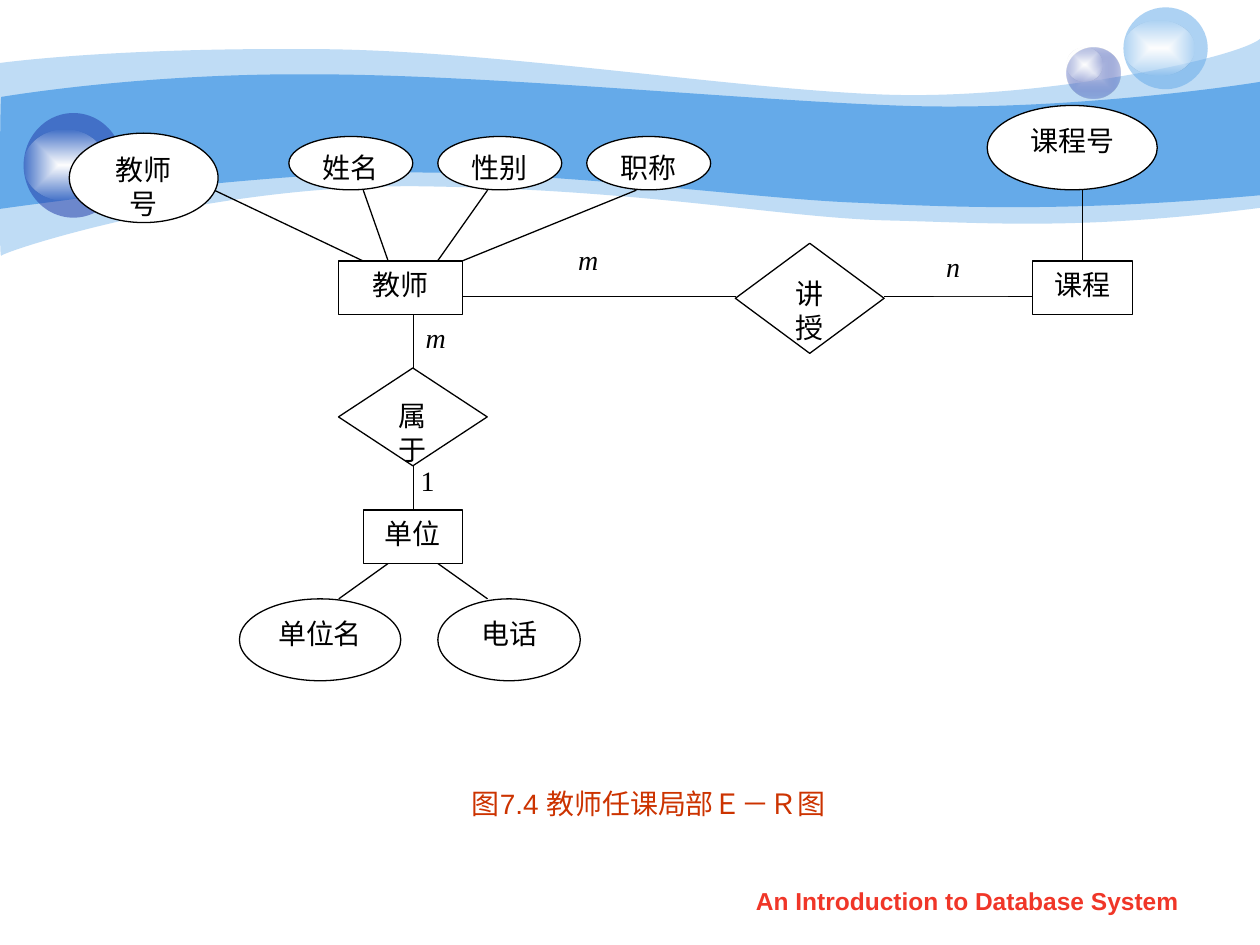
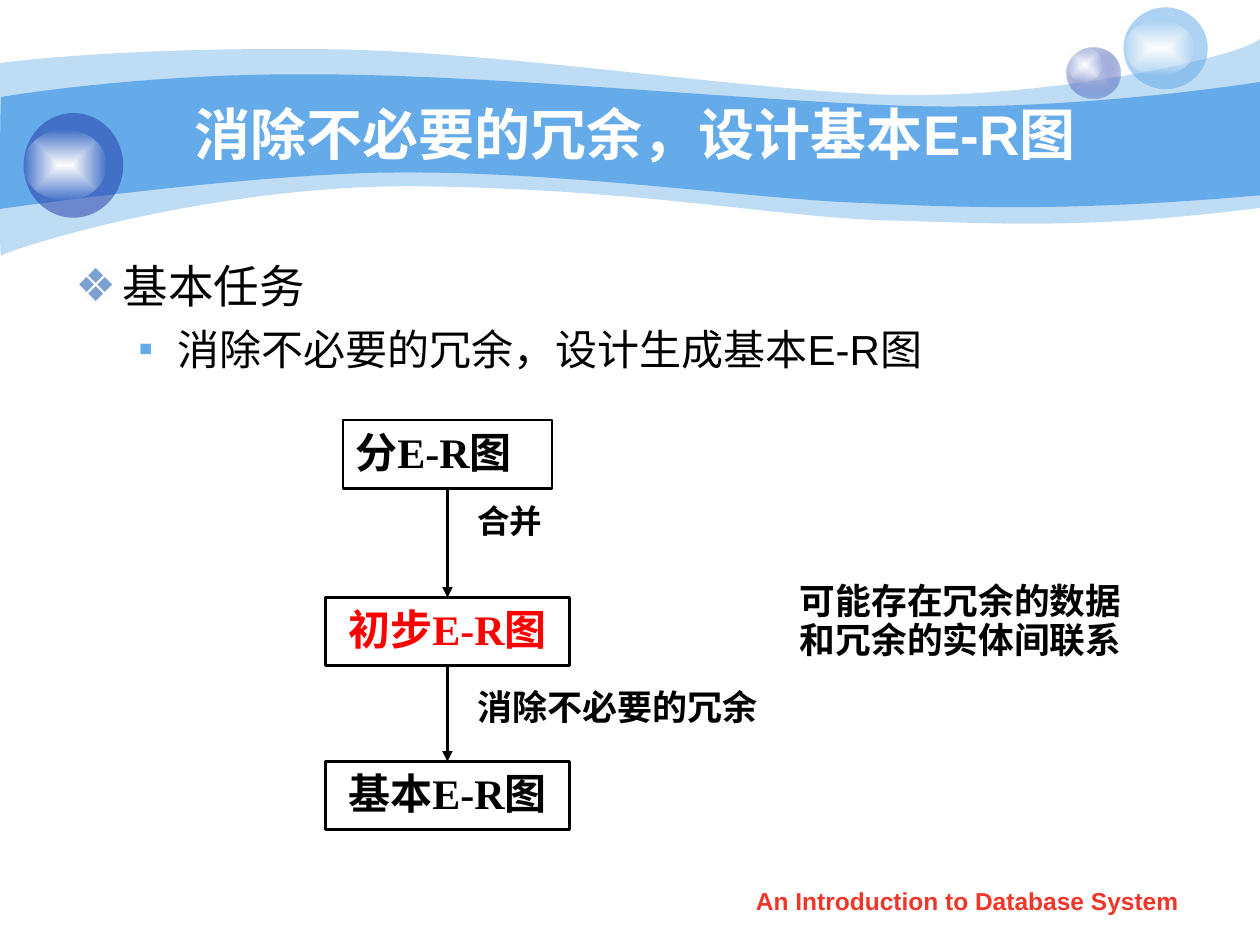
import pptx
import pptx.dml.color
import pptx.enum.lang
import pptx.enum.shapes
import pptx.enum.text
import pptx.oxml
import pptx.oxml.ns
import pptx.util
from lxml import etree

Pt = pptx.util.Pt
SHAPE = pptx.enum.shapes.MSO_SHAPE
ALIGN = pptx.enum.text.PP_ALIGN
ANCHOR = pptx.enum.text.MSO_ANCHOR
qn = pptx.oxml.ns.qn

BLACK, WHITE, RED = "000000", "FFFFFF", "FF0000"
SKY, NAVY, LAVENDER = "65AAE9", "233DA9", "C7CEE9"
FOOTER_RED, CAPTION_RED, BULLET_BLUE = "F03628", "CC3300", "7DA0D3"
SANS, SERIF = "Arial", "Times New Roman"

# Each wave: start point, then line ends (2 numbers) or cubic curves (6 numbers).
LIGHT_WAVE = [
    (0, 36), (17.3, 33.8, 77, 27.4, 177.8, 28.1),
    (277.9, 28.1, 414, 50.4, 503.3, 54), (591.8, 57.6, 705.6, 33.8, 720, 22.3),
    (720, 118.8), (617.8, 131.8, 566.6, 127.4, 507.6, 126),
    (447.8, 124.6, 370.8, 108.7, 247, 106.6), (123.8, 103.7, 2.9, 143.3, 0.7, 146.2),
    (-0.7, 149.8, 0, 54, 0, 36)]
DARK_WAVE = [
    (0.7, 55.4), (1.4, 55.4, 79.2, 41.8, 178.6, 42.5),
    (277.9, 42.5, 428.4, 57.6, 517, 60.5), (605.5, 63.4, 702.7, 49.7, 720, 46.8),
    (720, 111.6), (614.2, 121, 550.8, 118.8, 491, 115.9),
    (431.3, 113.8, 321.8, 97.9, 228.2, 98.6), (146.2, 98.6, -1.4, 119.5, -0.7, 119.5),
    (0, 119.5, 0, 55.4, 0.7, 55.4)]


def rgb(color):
    return pptx.dml.color.RGBColor.from_string(color)


def fill_solid(shape, color, opacity=100):
    shape.fill.solid()
    shape.fill.fore_color.rgb = rgb(color)
    if opacity < 100:
        color_element = shape.element.spPr.find(".//" + qn("a:srgbClr"))
        etree.SubElement(color_element, qn("a:alpha"), val=str(opacity * 1000))


def fill_glow(shape, inner, outer, outer_opacity):
    """Gradient from the centre of the shape to its edges."""
    shape.fill.gradient()
    gradient = shape.element.spPr.find(qn("a:gradFill"))
    for child in list(gradient):
        gradient.remove(child)
    stops = etree.SubElement(gradient, qn("a:gsLst"))
    for position, color, opacity in ((0, inner, 100), (100, outer, outer_opacity)):
        stop = etree.SubElement(stops, qn("a:gs"), pos=str(position * 1000))
        color_element = etree.SubElement(stop, qn("a:srgbClr"), val=color)
        etree.SubElement(color_element, qn("a:alpha"), val=str(opacity * 1000))
    shade = etree.SubElement(gradient, qn("a:path"), path="rect")
    etree.SubElement(shade, qn("a:fillToRect"), l="50000", t="50000", r="50000", b="50000")


def format_paragraph(paragraph, size, color=BLACK, font=SERIF, bold=False,
                     italic=False, align=ALIGN.LEFT, spacing=None):
    paragraph.alignment = align
    if spacing:
        paragraph.line_spacing = spacing
    for run in paragraph.runs:
        run.font.size, run.font.name = Pt(size), font
        run.font.bold, run.font.italic = bold, italic
        run.font.color.rgb = rgb(color)
        run.font.language_id = pptx.enum.lang.MSO_LANGUAGE_ID.SIMPLIFIED_CHINESE


def write(shape, text, size, **style):
    frame = shape.text_frame
    frame.word_wrap = True
    frame.text = text
    for paragraph in frame.paragraphs:
        format_paragraph(paragraph, size, **style)


def add_text(slide, left, top, width, height, text, size, **style):
    box = slide.shapes.add_textbox(Pt(left), Pt(top), Pt(width), Pt(height))
    write(box, text, size, **style)
    return box


def add_shape(slide, kind, left, top, width, height, line_width=0):
    shape = slide.shapes.add_shape(kind, Pt(left), Pt(top), Pt(width), Pt(height))
    shape.shadow.inherit = False
    shape.text_frame.vertical_anchor = ANCHOR.TOP
    if line_width:
        shape.line.color.rgb = rgb(BLACK)
        shape.line.width = Pt(line_width)
    else:
        shape.line.fill.background()
    return shape


def add_line(slide, start_x, start_y, end_x, end_y, width, arrow=False):
    line = slide.shapes.add_connector(
        pptx.enum.shapes.MSO_CONNECTOR.STRAIGHT,
        Pt(start_x), Pt(start_y), Pt(end_x), Pt(end_y))
    line.line.color.rgb = rgb(BLACK)
    line.line.width = Pt(width)
    if arrow:
        etree.SubElement(line.line._get_or_add_ln(), qn("a:tailEnd"), type="triangle")
    etree.SubElement(line.element.spPr, qn("a:effectLst"))


def add_wave(slide, outline, color, opacity=100):
    """Build the outline through its control points, then join these into curves."""
    start_x, start_y = outline[0]
    points = [(Pt(x), Pt(y)) for segment in outline[1:]
              for x, y in zip(segment[::2], segment[1::2])]
    builder = slide.shapes.build_freeform(Pt(start_x), Pt(start_y))
    builder.add_line_segments(points, close=True)
    wave = builder.convert_to_shape()
    line_elements = iter(list(wave.element.spPr.iter(qn("a:lnTo"))))
    for segment in outline[1:]:
        first = next(line_elements)
        if len(segment) == 6:
            curve = etree.Element(qn("a:cubicBezTo"))
            first.addprevious(curve)
            for element in (first, next(line_elements), next(line_elements)):
                curve.append(element[0])
                element.getparent().remove(element)
    wave.shadow.inherit = False
    wave.line.fill.background()
    fill_solid(wave, color, opacity)


def add_sphere(slide, left, top, width, height, highlight):
    """Return the sphere body, under a highlight given as (drop, width, height)."""
    body = add_shape(slide, SHAPE.OVAL, left, top, width, height)
    drop, shine_width, shine_height = highlight
    shine = add_shape(slide, SHAPE.OVAL, left, top + drop, shine_width, shine_height)
    fill_glow(shine, WHITE, WHITE, 0)
    return body


def add_background(slide):
    """Waves, spheres and footer shared by every slide."""
    add_wave(slide, LIGHT_WAVE, SKY, 41)
    add_wave(slide, DARK_WAVE, SKY)
    fill_glow(add_sphere(slide, 609.8, 27.4, 30.2, 28.8, (0, 20.2, 19.4)), LAVENDER, NAVY, 31)
    fill_solid(add_sphere(slide, 642, 4.2, 48.2, 46.8, (7.9, 40.3, 31)), SKY, 53)
    fill_solid(add_sphere(slide, 13.5, 64.6, 56.9, 59.8, (9.6, 47.5, 40.3)), NAVY, 53)
    add_text(slide, 411, 502.6, 283.7, 25.2, "An Introduction to Database System", 14,
             color=FOOTER_RED, font=SANS, bold=True, align=ALIGN.CENTER)


def add_label(slide, left, top, text):
    label = add_shape(slide, SHAPE.RECTANGLE, left, top, 42.5, 30.2)
    fill_solid(label, WHITE)
    write(label, text, 16, italic=text.isalpha())


def add_er_diagram(slide, left, top):
    row, link = 88.6, 108.9  # top of the entity row, height of its links
    attribute_bottom, unit_bottom, unit_attributes = 48.2, 261.5, 281.7
    trunk, entity_height = 196.5, 30.5
    links = [
        (82.8, attribute_bottom, 167.8, row), (168, attribute_bottom, 182.2, row),
        (239, attribute_bottom, 210.5, row), (324, attribute_bottom, 224.6, row),
        (578.9, attribute_bottom, 578.9, row),
        (224.6, link, 380.7, link), (465.6, link, 550.6, link),
        (trunk, 119, trunk, 149.8), (trunk, 205.6, trunk, 231),
        (182.2, unit_bottom, 154, unit_attributes),
        (210.6, unit_bottom, 239, unit_attributes)]
    nodes = [
        (SHAPE.OVAL, "教师号", 0, 15.6, 85, 51.1),
        (SHAPE.OVAL, "课程号", 524.5, -0.2, 97.2, 48.2),
        (SHAPE.OVAL, "单位名", 97.2, unit_attributes, 92.2, 46.8),
        (SHAPE.OVAL, "电话", 210.6, unit_attributes, 81.4, 46.8),
        (SHAPE.RECTANGLE, "教师", 153.8, row, 70.8, entity_height),
        (SHAPE.RECTANGLE, "课程", 550.6, row, 56.9, entity_height),
        (SHAPE.RECTANGLE, "单位", 168, 231, 56.7, entity_height),
        (SHAPE.DIAMOND, "讲授", 380.6, 78.5, 85, 62.9),
        (SHAPE.DIAMOND, "属于", 153.8, 149.8, 85, 55.9)]
    nodes += [(SHAPE.OVAL, name, 125.5 + 85.1 * index, 17.5, 70.8, 30.5)
              for index, name in enumerate(("姓名", "性别", "职称"))]

    add_label(slide, left + 193.7, top + 200.9, "1")
    add_label(slide, left + trunk, top + 119.2, "m")
    for start_x, start_y, end_x, end_y in links:
        add_line(slide, left + start_x, top + start_y, left + end_x, top + end_y, 0.75)
    for kind, text, x, y, width, height in nodes:
        node = add_shape(slide, kind, left + x, top + y, width, height, 0.75)
        fill_solid(node, WHITE)
        write(node, text, 16, align=ALIGN.CENTER)
    add_label(slide, left + 493.9, top + 78.5, "n")
    add_label(slide, left + 283.7, top + 74.4, "m")


def add_title(slide, text, left, top, width, height):
    title = slide.shapes.title
    title.left, title.top, title.width, title.height = Pt(left), Pt(top), Pt(width), Pt(height)
    write(title, text, 32, color=WHITE, font=SANS, bold=True, align=ALIGN.CENTER)
    title.text_frame.vertical_anchor = ANCHOR.MIDDLE
    title.element.getparent().append(title.element)  # in front of the waves


def add_bullets(slide, left, top, width, height):
    levels = [("基本任务", 26, 6.5, 27, -27, "❖", BULLET_BLUE),
              ("消除不必要的冗余，设计生成基本E-R图", 24, 6, 58.5, -22.5, "▪", SKY)]
    box = add_text(slide, left, top, width, height,
                   "\n".join(level[0] for level in levels), 24, font=SANS)
    for index, (paragraph, level) in enumerate(zip(box.text_frame.paragraphs, levels)):
        _, size, space, margin, indent, mark, color = level
        paragraph.level = index
        paragraph.space_before = Pt(space)
        paragraph.runs[0].font.size = Pt(size)
        properties = paragraph._p.get_or_add_pPr()
        properties.set("marL", str(Pt(margin)))
        properties.set("indent", str(Pt(indent)))
        bullet_color = etree.SubElement(properties, qn("a:buClr"))
        etree.SubElement(bullet_color, qn("a:srgbClr"), val=color)
        etree.SubElement(properties, qn("a:buFont"), typeface=SANS)
        etree.SubElement(properties, qn("a:buChar"), char=mark)


def add_merge_flow(slide, left, top):
    box_height, full_width, label_x = 39, 139.2, 79.6
    middle = left + full_width / 2
    stages = [("分E-R图", 0, 119.5, BLACK, ALIGN.LEFT),
              ("初步E-R图", 101.4, full_width, RED, ALIGN.CENTER),
              ("基本E-R图", 195.1, full_width, BLACK, ALIGN.CENTER)]
    for text, y, width, color, align in stages:
        stage = add_shape(slide, SHAPE.RECTANGLE, middle - width / 2, top + y,
                          width, box_height, 1.5)
        stage.fill.background()
        write(stage, text, 24, color=color, bold=True, align=align)
    for upper, lower in zip(stages, stages[1:]):
        add_line(slide, middle, top + upper[1] + box_height, middle, top + lower[1], 1.5, arrow=True)
    add_text(slide, left + label_x, top + 46.9, 89.3, 31, "合并", 18.6, bold=True, spacing=0.8)
    add_text(slide, left + label_x, top + 148.2, 218.2, 39, "消除不必要的冗余", 20, bold=True)
    add_text(slide, left + 263.9, top + 89.9, 234, 59.8,
             "可能存在冗余的数据\n和冗余的实体间联系", 20.4, bold=True, spacing=0.9)


def build_er_slide(presentation):
    slide = presentation.slides.add_slide(presentation.slide_layouts.get_by_name("Blank"))
    add_background(slide)
    caption = add_text(slide, 64.8, 445.7, 612, 37.4, "图7.4 教师任课局部Ｅ－Ｒ图", 16,
                       color=CAPTION_RED, font=SANS, align=ALIGN.CENTER)
    caption.text_frame.paragraphs[0].space_before = Pt(4)
    add_er_diagram(slide, 39.6, 60.5)


def build_redundancy_slide(presentation):
    slide = presentation.slides.add_slide(presentation.slide_layouts.get_by_name("Title Only"))
    add_background(slide)
    add_title(slide, "消除不必要的冗余，设计基本E-R图", 72, 53.6, 582, 44.6)
    add_bullets(slide, 36, 144, 648, 354.2)
    add_merge_flow(slide, 186.1, 240.1)


def main():
    presentation = pptx.Presentation()
    presentation.slide_width, presentation.slide_height = Pt(720), Pt(540)
    build_er_slide(presentation)
    build_redundancy_slide(presentation)
    presentation.save("out.pptx")


if __name__ == "__main__":
    main()
